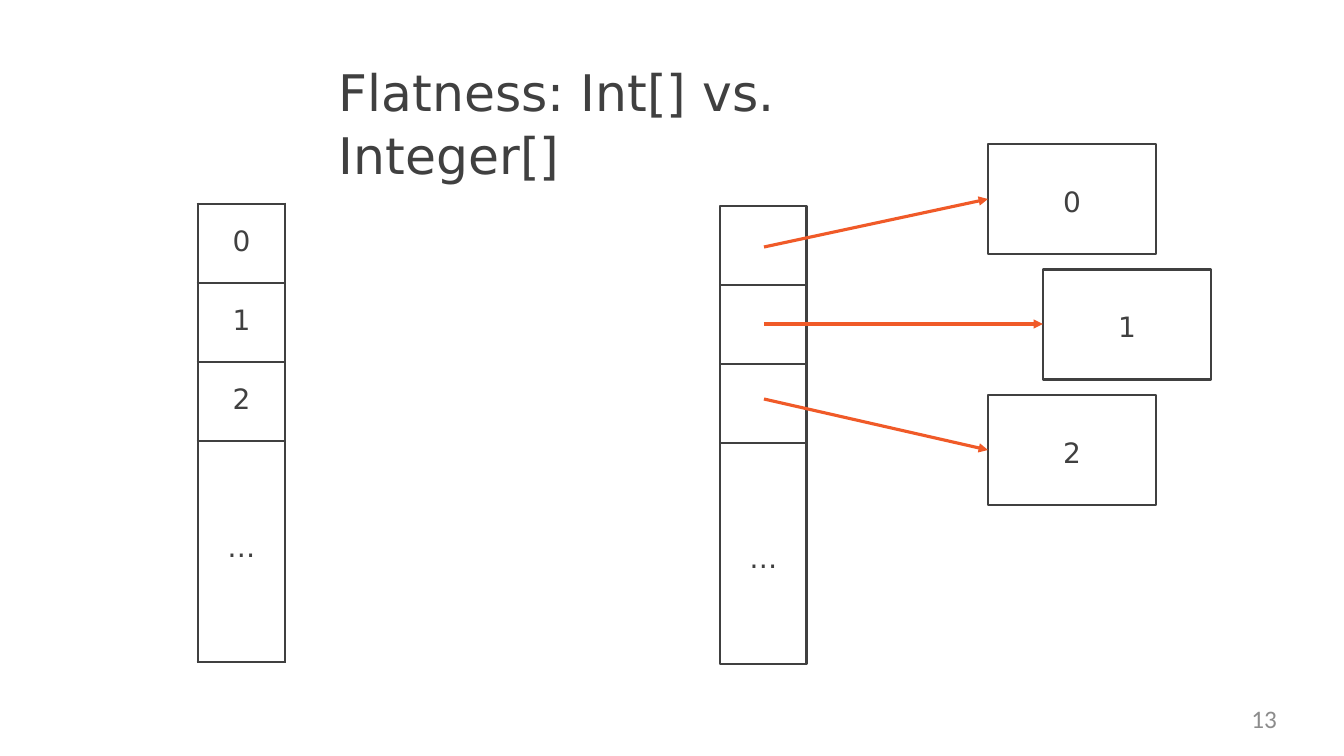
"""Build the slide that compares a flat int array with an array of references."""
from lxml.etree import SubElement
from pptx import Presentation
from pptx.dml.color import RGBColor
from pptx.enum.shapes import MSO_CONNECTOR, MSO_SHAPE
from pptx.enum.text import MSO_ANCHOR, PP_ALIGN
from pptx.oxml.ns import qn
from pptx.util import Pt

PX = 914400 / 100.8
DARK, ORANGE, GRAY = "404040", "F05A28", "8C8C8C"
ROW_HEIGHTS = [79, 79, 79, 221]
CELL_WIDTH = 87


def px(*lengths):
    return [round(length * PX) for length in lengths]


def write(frame, text, size, color=DARK, font="DejaVu Sans", align=PP_ALIGN.CENTER):
    frame.word_wrap = True
    frame.text = text
    para = frame.paragraphs[0]
    para.alignment = align
    for span in para.runs:
        span.font.size = Pt(size)
        span.font.name = font
        span.font.color.rgb = RGBColor.from_string(color)


deck = Presentation()
deck.slide_width, deck.slide_height = px(1344, 756)
page = deck.slides.add_slide(deck.slide_layouts[6])

labels = [
    (339, 58, 657, 124, "Flatness: Int[] vs. Integer[]", 36, DARK, "DejaVu Sans", PP_ALIGN.LEFT),
    (968, 703, 309, 38, "13", 18, GRAY, "Calibri", PP_ALIGN.RIGHT),
]
for left, top, width, height, *style in labels:
    box = page.shapes.add_textbox(*px(left, top, width, height))
    frame = box.text_frame
    frame.margin_left = frame.margin_top = frame.margin_right = frame.margin_bottom = 0
    write(frame, *style)
    if style[1] == 36:
        frame.paragraphs[0].line_spacing = 1.05

grid = page.shapes.add_table(4, 1, *px(198, 204, CELL_WIDTH, sum(ROW_HEIGHTS)))
table = grid.table
table.first_row = table.horz_banding = False
table.columns[0].width = px(CELL_WIDTH)[0]
for index, (text, height) in enumerate(zip(["0", "1", "2", "…"], ROW_HEIGHTS)):
    table.rows[index].height = px(height)[0]
    cell = table.cell(index, 0)
    cell.margin_left = cell.margin_right = cell.margin_top = 0
    cell.margin_bottom = px(8 if text == "…" else 4)[0]
    cell.vertical_anchor = MSO_ANCHOR.MIDDLE
    write(cell.text_frame, text, 20)
    properties = cell._tc.get_or_add_tcPr()
    for side in ("a:lnL", "a:lnR", "a:lnT", "a:lnB"):
        border = SubElement(properties, qn(side), w=str(Pt(2.25)))
        fill = SubElement(border, qn("a:solidFill"))
        SubElement(fill, qn("a:srgbClr"), val=DARK)
    cell.fill.background()

boxes = [
    (720, 206 + sum(ROW_HEIGHTS[:index]), CELL_WIDTH, height, text)
    for index, (height, text) in enumerate(zip(ROW_HEIGHTS, ["", "", "", "…"]))
]
boxes += [
    (left, 144 + 125.5 * index, 168, 110, str(index))
    for index, left in enumerate([988, 1043, 988])
]
for left, top, width, height, text in boxes:
    box = page.shapes.add_shape(MSO_SHAPE.RECTANGLE, *px(left, top, width, height))
    box.shadow.inherit = False
    box.fill.background()
    box.line.color.rgb = RGBColor.from_string(DARK)
    box.line.width = Pt(2)
    if text:
        frame = box.text_frame
        frame.margin_left = frame.margin_right = frame.margin_bottom = 0
        frame.margin_top = px(8 if text == "…" else 4)[0]
        frame.vertical_anchor = MSO_ANCHOR.MIDDLE
        write(frame, text, 20)

for start_y, end_x, end_y in [(247, 988, 199), (324, 1043, 324), (399, 988, 450)]:
    arrow = page.shapes.add_connector(MSO_CONNECTOR.STRAIGHT, *px(764, start_y, end_x, end_y))
    arrow.line.color.rgb = RGBColor.from_string(ORANGE)
    arrow.line.width = Pt(2.25)
    SubElement(arrow.line._get_or_add_ln(), qn("a:tailEnd"), type="triangle")
    SubElement(arrow._element.spPr, qn("a:effectLst"))

deck.save("out.pptx")
